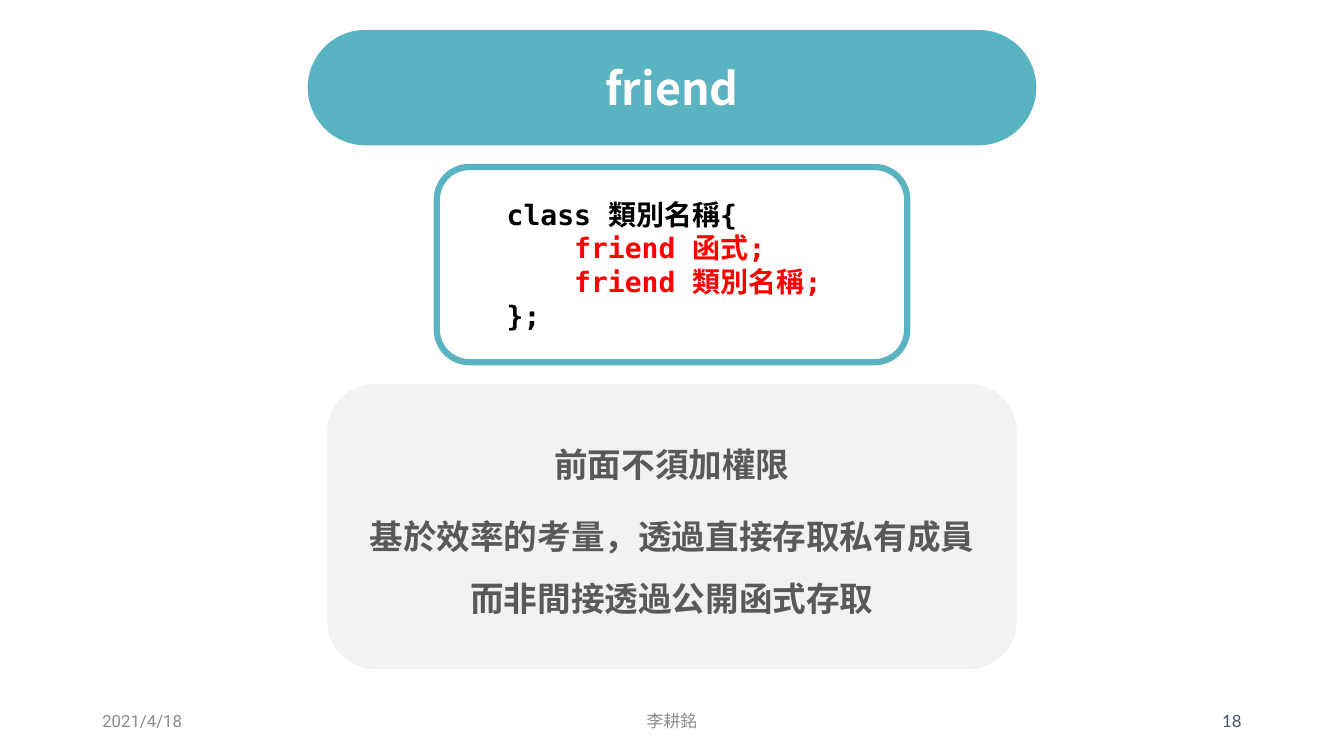
from pptx import Presentation, util as u
from pptx.dml.color import RGBColor
from pptx.enum import shapes, text
from pptx.oxml.ns import qn

TEAL = RGBColor(0x59, 0xB3, 0xC0)
PALE = RGBColor(0xF2, 0xF2, 0xF2)
WHITE = RGBColor(0xFF, 0xFF, 0xFF)
BLACK = RGBColor(0, 0, 0)
RED = RGBColor(0xFF, 0, 0)
DARK = RGBColor(0x59, 0x59, 0x59)
GRAY = RGBColor(0x8C, 0x8C, 0x8C)
SLATE = RGBColor(0x44, 0x54, 0x6A)
CJK = "Noto Sans CJK TC"
LEFT, CENTER, RIGHT = text.PP_ALIGN.LEFT, text.PP_ALIGN.CENTER, text.PP_ALIGN.RIGHT


class Deck:
    def __init__(self, width, height):
        self.prs = Presentation()
        self.prs.slide_width, self.prs.slide_height = u.Pt(width), u.Pt(height)
        self.s = self.prs.slides.add_slide(self.prs.slide_layouts[6])

    def panel(self, box, fill, line=None, corner=0.1667):
        sp = self.s.shapes.add_shape(
            shapes.MSO_SHAPE.ROUNDED_RECTANGLE, *map(u.Pt, box))
        sp.shadow.inherit = False
        sp.adjustments[0] = corner
        sp.fill.solid()
        sp.fill.fore_color.rgb = fill
        if line:
            sp.line.color.rgb = line
            sp.line.width = u.Pt(4.5)
        else:
            sp.line.fill.background()
        return sp

    def label(self, box, lines, **style):
        sp = self.s.shapes.add_textbox(*map(u.Pt, box))
        self.set_lines(sp, lines, **style)

    def set_lines(self, sp, lines, size, font, align, bold=False, spacing=None,
                  before=0, indent=0, anchor=text.MSO_ANCHOR.MIDDLE):
        """Fill a shape with (wording, colour) paragraphs."""
        tf = sp.text_frame
        tf.word_wrap = True
        tf.vertical_anchor = anchor
        for i, (words, color) in enumerate(lines):
            p = tf.add_paragraph() if i else tf.paragraphs[0]
            p.text = words
            p.alignment = align
            if spacing:
                p.line_spacing = u.Pt(spacing)
            if i:
                p.space_before = u.Pt(before)
            if indent:
                pPr = p._p.get_or_add_pPr()
                pPr.set("marL", str(u.Pt(indent)))
                pPr.set("indent", "0")
            for r in p.runs:
                r.font.size, r.font.name, r.font.bold = u.Pt(size), font, bold
                r.font.color.rgb = color
                rPr = r._r.get_or_add_rPr()
                ea = rPr.makeelement(qn("a:ea"), {"typeface": CJK})
                rPr.find(qn("a:latin")).addnext(ea)


def main():
    deck = Deck(960, 540)

    title = deck.panel((219.8, 21.4, 520.4, 82.4), TEAL, corner=0.5)
    deck.set_lines(title, [("friend", WHITE)], size=32, font="Noto Sans CJK SC",
                   align=CENTER, bold=True)

    deck.panel((233.8, 274.2, 492.4, 203.6), PALE)
    deck.label((250.7, 298, 458.6, 157.7),
               [("前面不須加權限", DARK),
                ("基於效率的考量，透過直接存取私有成員而非間接透過公開函式存取", DARK)],
               size=24, font=CJK, align=CENTER, bold=True, spacing=44, before=8,
               anchor=text.MSO_ANCHOR.TOP)

    code = deck.panel((312, 119.3, 336, 139.4), WHITE, line=TEAL)
    deck.set_lines(code,
                   [("class 類別名稱{", BLACK),
                    ("    friend 函式;", RED),
                    ("    friend 類別名稱;", RED),
                    ("};", BLACK)],
                   size=20, font="DejaVu Sans Mono", align=LEFT, bold=True,
                   spacing=24, indent=36)

    for left, width, words, color, font, align in (
            (66, 216, "2021/4/18", GRAY, "Roboto", LEFT),
            (318, 324, "李耕銘", GRAY, "Roboto", CENTER),
            (678, 216, "18", SLATE, "Lato", RIGHT)):
        deck.label((left, 500.5, width, 28.75), [(words, color)],
                   size=12, font=font, align=align)

    deck.prs.save("out.pptx")


if __name__ == "__main__":
    main()
